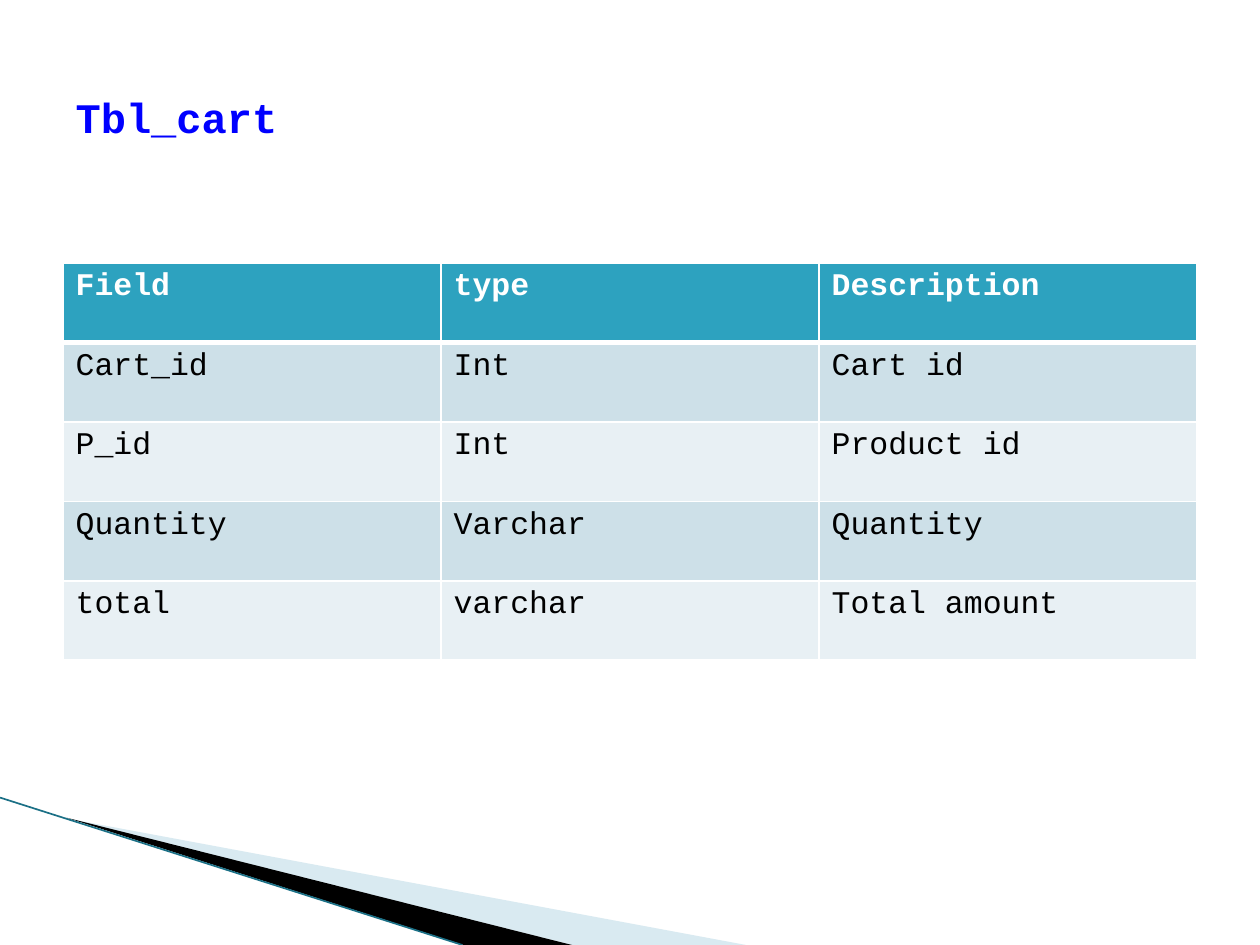
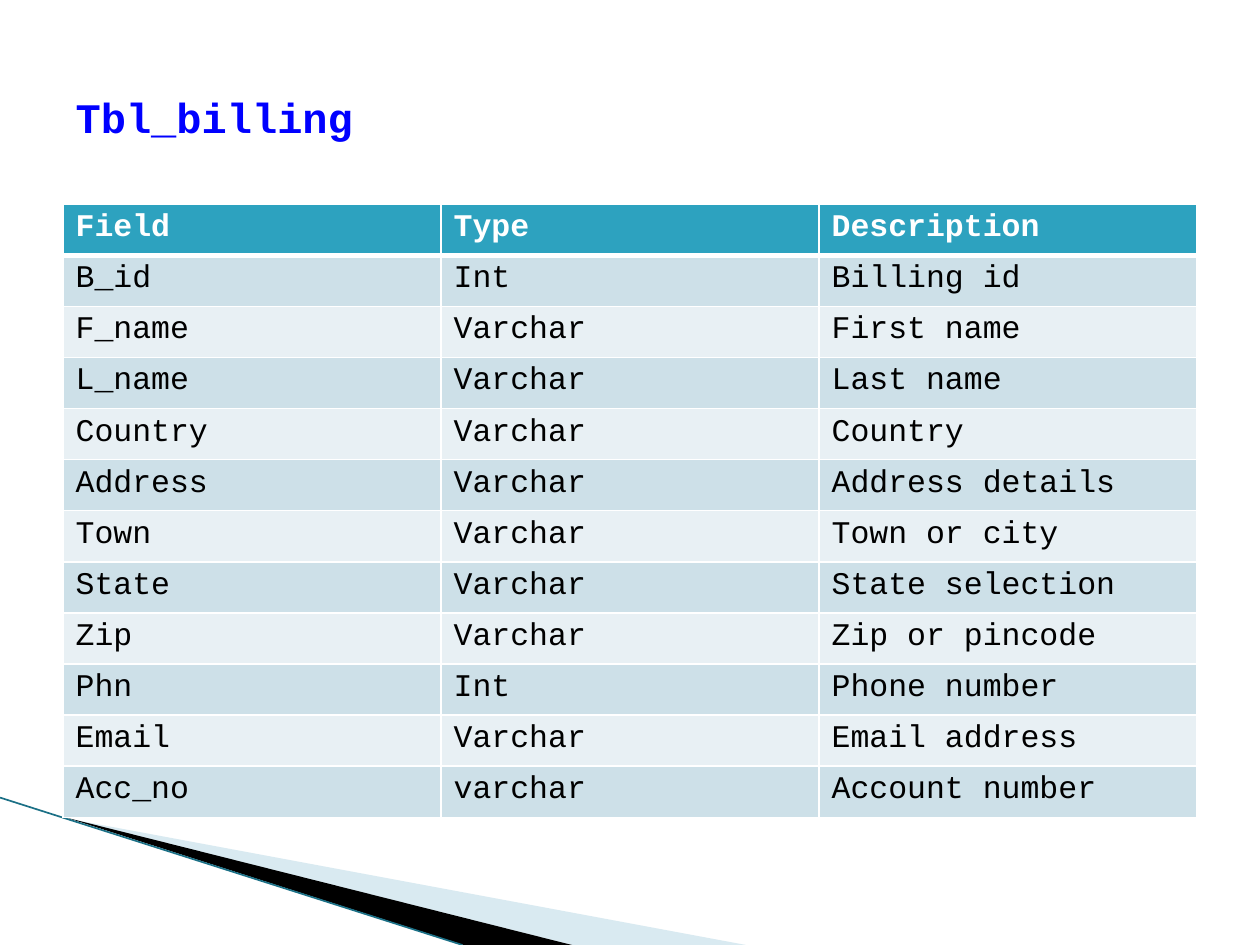
"""Build two database schema slides, for the cart and billing tables."""
import dataclasses

import lxml.etree
import pptx
import pptx.dml.color
import pptx.enum.shapes
import pptx.enum.text
import pptx.oxml.ns
import pptx.util

Inches = pptx.util.Inches
Pt = pptx.util.Pt
qn = pptx.oxml.ns.qn


@dataclasses.dataclass(frozen=True)
class Theme:
    """Colours, font and sizes shared by the slides."""

    font: str = "Courier New"
    title_size: int = 24
    cell_size: int = 18
    title: str = "0000FF"
    header: str = "2DA2BF"
    bands: tuple = ("CDE0E8", "E8F0F4")
    light: str = "FFFFFF"
    dark: str = "000000"
    pale_wedge: str = "A0CBDC"
    pale_wedge_alpha: int = 40
    edge: str = "1B7086"
    edge_width: float = 0.95
    grid_width: int = 1
    header_rule_width: int = 3


def rgb(colour):
    """Turn a hex string into a colour."""
    return pptx.dml.color.RGBColor.from_string(colour)


class SchemaDeck:
    """Hold the theme and the current slide, and draw each kind of element."""

    def __init__(self, theme):
        """Start an empty presentation."""
        self.theme = theme
        self.presentation = pptx.Presentation()
        self.presentation.slide_width = Inches(10)
        self.presentation.slide_height = Inches(7.5)
        self.slide = None

    def add_slide(self, heading):
        """Add a slide with its title and corner decoration."""
        layout = self.presentation.slide_layouts.get_by_name("Title Only")
        self.slide = self.presentation.slides.add_slide(layout)
        self.add_title(heading)
        self.add_corner()

    def add_run(self, paragraph, text, size, colour, bold):
        """Add one formatted run, aligned left."""
        paragraph.alignment = pptx.enum.text.PP_ALIGN.LEFT
        run = paragraph.add_run()
        run.text = text
        run.font.name = self.theme.font
        run.font.size = Pt(size)
        run.font.bold = bold
        run.font.color.rgb = rgb(colour)

    def add_title(self, heading):
        """Place and fill the title placeholder."""
        title = self.slide.shapes.title
        title.left, title.top = Inches(0.5), Inches(0.3)
        title.width, title.height = Inches(9), Inches(1.25)
        title.text_frame.vertical_anchor = pptx.enum.text.MSO_ANCHOR.MIDDLE
        self.add_run(title.text_frame.paragraphs[0], heading,
                     self.theme.title_size, self.theme.title, True)

    def add_wedge(self, corners, colour, alpha=100):
        """Draw a filled outline through the corners."""
        start, *others = [(Inches(x), Inches(y)) for x, y in corners]
        builder = self.slide.shapes.build_freeform(*start)
        builder.add_line_segments(others, close=True)
        wedge = builder.convert_to_shape()
        wedge.shadow.inherit = False
        wedge.line.fill.background()
        wedge.fill.solid()
        wedge.fill.fore_color.rgb = rgb(colour)
        if alpha < 100:
            tint = wedge.fill._xPr.find(".//" + qn("a:srgbClr"))
            lxml.etree.SubElement(tint, qn("a:alpha"), val=str(alpha * 1000))

    def add_edge(self, start, end):
        """Draw a thin straight line."""
        edge = self.slide.shapes.add_connector(
            pptx.enum.shapes.MSO_CONNECTOR.STRAIGHT,
            *map(Inches, start + end))
        edge.line.color.rgb = rgb(self.theme.edge)
        edge.line.width = Pt(self.theme.edge_width)
        lxml.etree.SubElement(edge._element.spPr, qn("a:effectLst"))

    def add_corner(self):
        """Draw the wedges at the bottom left."""
        self.add_wedge([(0.55, 6.5), (5.92, 7.5), (4.54, 7.5)],
                       self.theme.pale_wedge, self.theme.pale_wedge_alpha)
        self.add_wedge([(0.53, 6.49), (4.54, 7.5), (3.68, 7.5)],
                       self.theme.dark)
        self.add_edge((0, 6.33), (3.67, 7.5))

    def add_borders(self, cell, top, bottom):
        """Give a cell its four borders."""
        sides = {"L": self.theme.grid_width, "R": self.theme.grid_width,
                 "T": top, "B": bottom}
        properties = cell._tc.get_or_add_tcPr()
        for side, width in sides.items():
            border = lxml.etree.SubElement(properties, qn(f"a:ln{side}"), w=str(Pt(width)))
            fill = lxml.etree.SubElement(border, qn("a:solidFill"))
            lxml.etree.SubElement(fill, qn("a:srgbClr"), val=self.theme.light)

    def add_schema(self, rows, top, height):
        """Draw a table with a header row and banded field rows."""
        theme = self.theme
        schema = self.slide.shapes.add_table(
            len(rows), len(rows[0]), Inches(0.5), Inches(top),
            Inches(9), Inches(height)).table
        for row_index, texts in enumerate(rows):
            is_header = row_index == 0
            band = theme.header if is_header else theme.bands[(row_index - 1) % 2]
            upper = theme.header_rule_width if row_index == 1 else theme.grid_width
            lower = theme.header_rule_width if is_header else theme.grid_width
            for column_index, text in enumerate(texts):
                cell = schema.cell(row_index, column_index)
                self.add_borders(cell, upper, lower)
                cell.fill.solid()
                cell.fill.fore_color.rgb = rgb(band)
                self.add_run(cell.text_frame.paragraphs[0], text, theme.cell_size,
                             theme.light if is_header else theme.dark, is_header)


CART_FIELDS = [
    ("Field", "type", "Description"),
    ("Cart_id", "Int", "Cart id"),
    ("P_id", "Int", "Product id"),
    ("Quantity", "Varchar", "Quantity"),
    ("total", "varchar", "Total amount"),
]

BILLING_FIELDS = [
    ("Field", "Type", "Description"),
    ("B_id", "Int", "Billing id"),
    ("F_name", "Varchar", "First name"),
    ("L_name", "Varchar", "Last name"),
    ("Country", "Varchar", "Country"),
    ("Address", "Varchar", "Address details"),
    ("Town", "Varchar", "Town or city"),
    ("State", "Varchar", "State selection"),
    ("Zip", "Varchar", "Zip or pincode"),
    ("Phn", "Int", "Phone number"),
    ("Email", "Varchar", "Email address"),
    ("Acc_no", "varchar", "Account number"),
]


def main():
    """Build and save the deck."""
    deck = SchemaDeck(Theme())
    deck.add_slide("Tbl_cart")
    deck.add_schema(CART_FIELDS, top=2.09, height=3.15)
    deck.add_slide("Tbl_billing")
    deck.add_schema(BILLING_FIELDS, top=1.62, height=4.87)
    deck.presentation.save("out.pptx")


if __name__ == "__main__":
    main()
